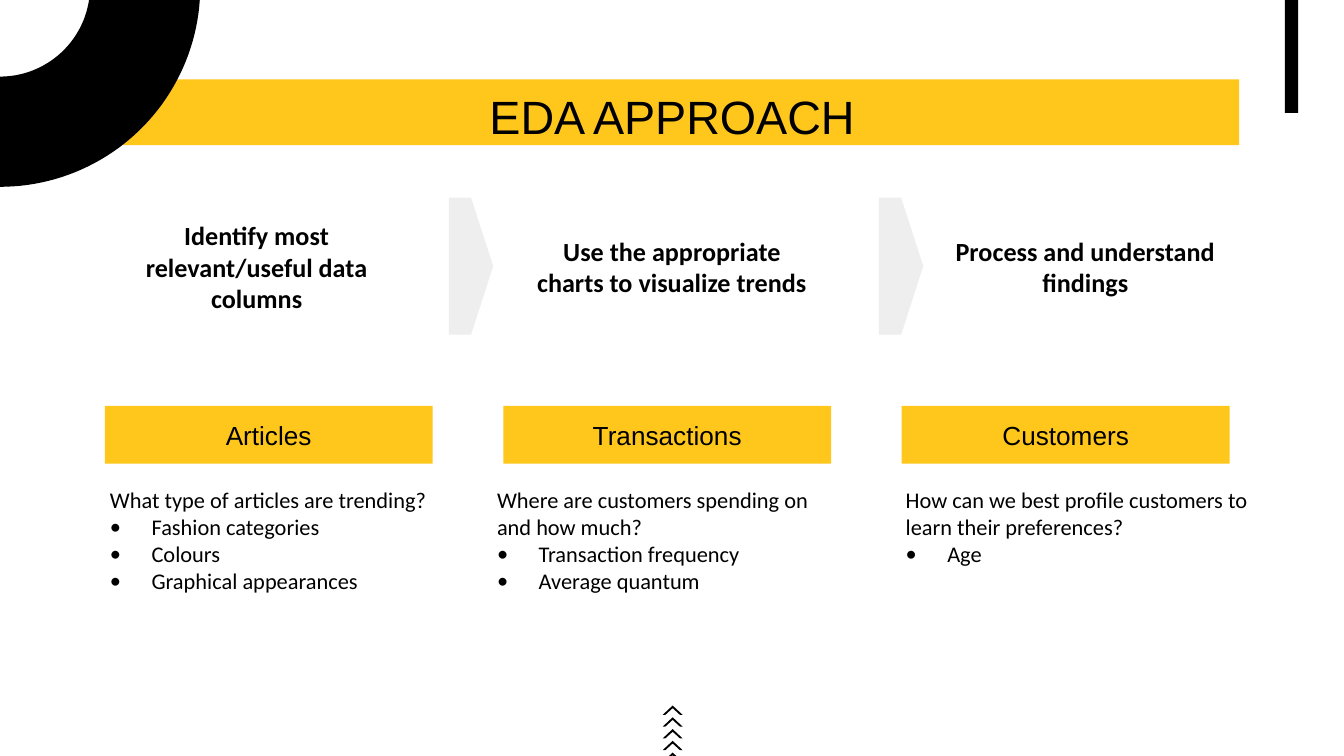
import math
from dataclasses import dataclass

import pptx
import pptx.dml.color
import pptx.enum.shapes
import pptx.enum.text
import pptx.util
from lxml import etree
from pptx.util import Inches

SHAPES = pptx.enum.shapes.MSO_SHAPE
ANCHOR = pptx.enum.text.MSO_ANCHOR
ALIGN = pptx.enum.text.PP_ALIGN


@dataclass(frozen=True)
class Theme:
    ink: str = "000000"
    accent: str = "FFC71C"
    pale: str = "EEEEEE"
    heading_font: str = "Arial"
    body_font: str = "Calibri"
    title_size: int = 25
    label_size: int = 14
    body_size: int = 12


THEME = Theme()


def rgb(value):
    return pptx.dml.color.RGBColor.from_string(value)


def paint(shape, color):
    shape.shadow.inherit = False
    shape.fill.solid()
    shape.fill.fore_color.rgb = rgb(color)
    shape.line.fill.background()


def add_block(slide, kind, box, color):
    shape = slide.shapes.add_shape(kind, *map(Inches, box))
    paint(shape, color)
    return shape


def add_outline(slide, points, color):
    points = [(Inches(x), Inches(y)) for x, y in points]
    builder = slide.shapes.build_freeform(*points[0], scale=1.0)
    builder.add_line_segments(points[1:], close=True)
    paint(builder.convert_to_shape(), color)


def format_frame(frame, anchor, top_margin=0.1):
    frame.word_wrap = True
    frame.auto_size = pptx.enum.text.MSO_AUTO_SIZE.NONE
    frame.vertical_anchor = anchor
    frame.margin_left = frame.margin_right = Inches(0.1)
    frame.margin_top = Inches(top_margin)
    frame.margin_bottom = Inches(0.1)


def format_paragraph(paragraph, font, size, align, bold=False):
    paragraph.alignment = align
    paragraph.font.name = font
    paragraph.font.size = pptx.util.Pt(size)
    paragraph.font.bold = bold
    paragraph.font.color.rgb = rgb(THEME.ink)


def add_bullet(paragraph, indent=0.31):
    properties = paragraph._p.get_or_add_pPr()
    properties.set("marL", str(Inches(indent)))
    properties.set("indent", str(-Inches(indent)))
    font = etree.SubElement(properties, pptx.oxml.ns.qn("a:buFont"))
    font.set("typeface", THEME.body_font)
    bullet = etree.SubElement(properties, pptx.oxml.ns.qn("a:buChar"))
    bullet.set("char", "•")


def add_corner_ring(slide, box):
    """Quarter ring around the box's top left corner."""
    left, top, outer, _ = box
    inner = 0.67
    angles = [math.radians(degree) for degree in range(0, 91, 2)]

    def arc(radius):
        return [(left + radius * math.cos(a), top + radius * math.sin(a))
                for a in angles]

    add_outline(slide, arc(outer) + arc(inner)[::-1], THEME.ink)


def add_chevron_stack(slide, box, count=5):
    left, top, width, stack_height = box
    height, edge = 0.07, 0.02
    pitch = (stack_height - height) / (count - 1)
    middle, right = left + width / 2, left + width
    for row in range(count):
        y = top + row * pitch
        add_outline(slide, [
            (right, y + height), (middle, y), (left, y + height),
            (left + edge, y + height), (middle, y + edge),
            (right - edge, y + height)], THEME.ink)


def add_title(slide, box, text):
    title = slide.shapes.title
    title.left, title.top, title.width, title.height = map(Inches, box)
    title.text = text
    format_frame(title.text_frame, ANCHOR.MIDDLE)
    format_paragraph(title.text_frame.paragraphs[0], THEME.heading_font,
                     THEME.title_size, ALIGN.CENTER)
    # Bring the title in front of the banner
    title.element.getparent().append(title.element)


def add_step(slide, box, text):
    frame = slide.shapes.add_textbox(*map(Inches, box)).text_frame
    format_frame(frame, ANCHOR.MIDDLE)
    frame.text = text
    format_paragraph(frame.paragraphs[0], THEME.body_font,
                     THEME.label_size, ALIGN.CENTER, bold=True)


def add_data_label(slide, box, text):
    frame = add_block(slide, SHAPES.RECTANGLE, box, THEME.accent).text_frame
    format_frame(frame, ANCHOR.MIDDLE)
    frame.text = text
    format_paragraph(frame.paragraphs[0], THEME.heading_font,
                     THEME.label_size, ALIGN.CENTER)


def add_question(slide, box, question, topics):
    frame = slide.shapes.add_textbox(*map(Inches, box)).text_frame
    format_frame(frame, ANCHOR.TOP, top_margin=0.09)
    frame.text = "\n".join([question, *topics])
    for paragraph in frame.paragraphs[1:]:
        add_bullet(paragraph)
    for paragraph in frame.paragraphs:
        format_paragraph(paragraph, THEME.body_font, THEME.body_size,
                         ALIGN.LEFT)


def main():
    presentation = pptx.Presentation()
    presentation.slide_width = Inches(10)
    presentation.slide_height = Inches(10 * 9 / 16)
    slide = presentation.slides.add_slide(presentation.slide_layouts[5])

    # Banner and decoration
    add_block(slide, SHAPES.RECTANGLE, (0, 0.59, 9.22, 0.49), THEME.accent)
    add_block(slide, SHAPES.RECTANGLE, (9.56, 0, 0.1, 0.84), THEME.ink)
    add_corner_ring(slide, (0, -0.1, 1.49, 1.49))
    add_chevron_stack(slide, (4.93, 5.25, 0.15, 0.42))
    add_title(slide, (0.78, 0.59, 8.44, 0.54), "EDA APPROACH")

    # Process steps with arrows between them
    steps = [
        (0.78, 2.26, "Identify most relevant/useful data columns"),
        (3.87, 2.26, "Use the appropriate charts to visualize trends"),
        (7.0, 2.15, "Process and understand findings"),
    ]
    for left, width, text in steps:
        add_step(slide, (left, 1.59, width, 0.79), text)
    for left in (3.34, 6.54):
        add_block(slide, SHAPES.PENTAGON, (left, 1.47, 0.33, 1.02),
                  THEME.pale)

    # Data sets and their questions
    columns = [
        ("Articles", 0.72, 2.66, "What type of articles are trending?",
         ["Fashion categories", "Colours", "Graphical appearances"]),
        ("Transactions", 3.6, 2.73,
         "Where are customers spending on and how much?",
         ["Transaction frequency", "Average quantum"]),
        ("Customers", 6.64, 2.88,
         "How can we best profile customers to learn their preferences?",
         ["Age"]),
    ]
    first_label, last_label = 0.78, 6.71
    pitch = (last_label - first_label) / (len(columns) - 1)
    for index, (label, left, width, question, topics) in enumerate(columns):
        add_data_label(slide, (first_label + index * pitch, 3.02, 2.44, 0.43),
                       label)
        add_question(slide, (left, 3.53, width, 0.99), question, topics)

    presentation.save("out.pptx")


if __name__ == "__main__":
    main()
